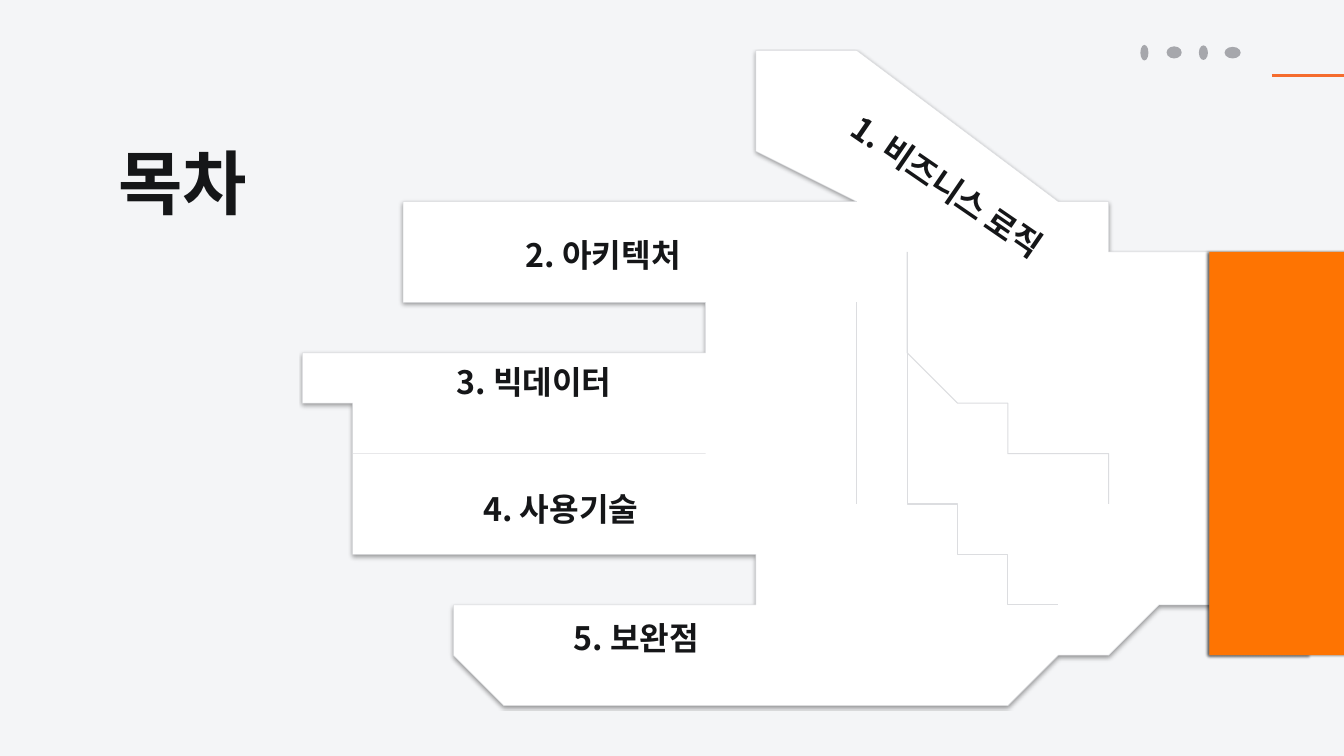
"""Build the table-of-contents slide with one chapter on each finger of a hand."""
import math

import lxml.etree
import pptx
import pptx.dml.color
import pptx.enum.shapes
import pptx.enum.text
import pptx.oxml.ns
import pptx.util

Inches = pptx.util.Inches
Pt = pptx.util.Pt
qn = pptx.oxml.ns.qn

FONT = "Noto Sans CJK KR"
COLORS = {
    "background": "F4F5F7", "ink": "151618", "icon": "A6A7AC", "accent": "F56C2E",
    "skin": "FFFFFF", "crease": "DCDDE0", "cuff": "DBDCDE", "sleeve": "FE7402",
    "shadow": "000000",
}
SLIDE_WIDTH, SLIDE_HEIGHT = 26.67, 15

TITLE = ("목차", (2.31, 3.05, 9.95, 3.47))
CHAPTERS = [
    ("2. 아키텍처", (10.33, 4.61, 6.32, 0.87), 0),
    ("3. 빅데이터", (8.96, 7.13, 5.75, 0.88), 0),
    ("4. 사용기술", (9.49, 9.65, 6.7, 0.87), 0),
    ("5. 보완점", (11.28, 12.21, 5.27, 0.87), 0),
    ("1. 비즈니스 로직", (16.35, 3.75, 6.32, 0.88), 34.5),
]

FINGER_TIPS = [7.76, 6.42, 7.09, 9.1]
WEB_STARTS = [13.79, 13.79, 14.47]
FINGER_TOP, FINGER_PITCH, FINGER_HEIGHT = 4.07, 2.55, 1.91
TIP_DEPTH, WEB_DEPTH = 1.01, 0.33

THUMB_AND_WRIST = [
    [(15.28, 2.78)],
    [(14.85, 2.5), (14.64, 2.1), (14.64, 1.67)],
    [(14.64, 1.05), (15.15, 0.58), (15.88, 0.58)],
    [(16.13, 0.58), (16.38, 0.66), (16.59, 0.79)],
    [(21.32, 3.76)],
    [(21.95, 4.15), (22.35, 4.55), (22.71, 4.99)],
    [(22.87, 5.01)],
    [(24.37, 5.18), (25.33, 4.79), (26.67, 4.79)],
    [(26.67, 12.46)],
    [(25.44, 12.46), (24.29, 11.97), (23.04, 12.09)],
    [(22.77, 12.13)],
    [(22.71, 12.2)],
    [(21.75, 13.25), (20.35, 13.63), (19.16, 13.63)],
]
CREASES = [
    ((17.9, 5.05), [[(17.94, 5.98), (18.02, 7.04), (18.76, 7.81)],
                    [(19.5, 8.58), (20.38, 8.99), (22.35, 9.68)]], 1.5),
    ((17.88, 5.05), [[(17.87, 6.68), (17.87, 8.18), (18.33, 9.3)],
                     [(18.78, 10.42), (19.64, 11.36), (20.61, 11.74)]], 1.5),
    ((16.89, 6.27), [[(17.06, 6.69), (17.23, 7.12), (17.27, 7.82)],
                     [(17.31, 8.52), (17.11, 10.46), (17.11, 10.46)]], 1),
]
BANDS = [
    ("cuff", (23.79, 4.88, 26.24, 12.51), 0.7, 135),
    ("sleeve", (24.22, 4.62, 26.67, 12.77), 0.74, 180),
]
ICONS = [(22.63, 0.89, 0.16, 0.31), (23.15, 0.92, 0.3, 0.24),
         (23.79, 0.9, 0.18, 0.29), (24.3, 0.93, 0.32, 0.23)]


def color(name):
    return pptx.dml.color.RGBColor.from_string(COLORS[name])


def trace(start, segments, steps=16):
    points = [start]
    for segment in segments:
        if len(segment) == 1:
            points += segment
            continue
        controls = [points[-1], *segment]
        for step in range(1, steps + 1):
            t = step / steps
            weights = [math.comb(3, i) * t**i * (1 - t)**(3 - i) for i in range(4)]
            points.append(tuple(sum(w * p[axis] for w, p in zip(weights, controls))
                                for axis in (0, 1)))
    return points


def half_round(x, low, high, depth, steps=24):
    middle, radius = (low + high) / 2, (low - high) / 2
    angles = [math.pi * step / steps for step in range(steps + 1)]
    return [(x + depth * math.sin(a), middle + radius * math.cos(a)) for a in angles]


def hand_outline():
    points = trace((17.15, FINGER_TOP), THUMB_AND_WRIST)
    for i in reversed(range(len(FINGER_TIPS))):
        top = FINGER_TOP + i * FINGER_PITCH
        points += half_round(FINGER_TIPS[i] + TIP_DEPTH, top + FINGER_HEIGHT, top, -TIP_DEPTH)
        if i:
            above = top - FINGER_PITCH + FINGER_HEIGHT
            points += half_round(WEB_STARTS[i - 1], top, above, WEB_DEPTH)
    return points


def band_outline(left, top, right, bottom, corner):
    inner = left + 0.13
    return trace((inner, top), [
        [(right, top)], [(right, bottom)], [(inner, bottom)],
        [(left + 0.06, bottom), (left, bottom - corner * 0.45), (left, bottom - corner)],
        [(left, top + corner)],
        [(left, top + corner * 0.45), (left + 0.06, top), (inner, top)],
    ])


def draw(shapes, points, fill=None, line=None, width=0, closed=True):
    builder = shapes.build_freeform(*points[0], scale=Inches(1))
    builder.add_line_segments(points[1:], close=closed)
    outline = builder.convert_to_shape()
    return paint(outline, fill, line, width)


def paint(shape, fill=None, line=None, width=0):
    shape.shadow.inherit = False
    if fill:
        shape.fill.solid()
        shape.fill.fore_color.rgb = color(fill)
    else:
        shape.fill.background()
    if line:
        shape.line.color.rgb = color(line)
        shape.line.width = Pt(width)
    else:
        shape.line.fill.background()
    return shape


def cast_shadow(shape, angle):
    effects = shape._element.spPr.find(qn("a:effectLst"))
    shadow = lxml.etree.SubElement(
        effects, qn("a:outerShdw"), blurRad=str(Pt(4)), dist=str(Pt(3)),
        dir=str(angle * 60000), algn="ctr", rotWithShape="0")
    tint = lxml.etree.SubElement(shadow, qn("a:srgbClr"), val=COLORS["shadow"])
    lxml.etree.SubElement(tint, qn("a:alpha"), val="40000")


def write(shapes, wording, place, size):
    box = shapes.add_textbox(*map(Inches, place))
    box.text_frame.word_wrap = True
    paragraph = box.text_frame.paragraphs[0]
    paragraph.text = wording
    font = paragraph.font
    font.size, font.bold, font.name = Pt(size), True, FONT
    font.color.rgb = color("ink")
    lxml.etree.SubElement(font._element, qn("a:ea"), typeface=FONT)
    return box


def main():
    deck = pptx.Presentation()
    deck.slide_width, deck.slide_height = Inches(SLIDE_WIDTH), Inches(SLIDE_HEIGHT)
    slide = deck.slides.add_slide(deck.slide_layouts[6])
    slide.background.fill.solid()
    slide.background.fill.fore_color.rgb = color("background")
    shapes = slide.shapes

    for place in ICONS:
        paint(shapes.add_shape(pptx.enum.shapes.MSO_SHAPE.OVAL, *map(Inches, place)), "icon")
    rule = shapes.add_connector(pptx.enum.shapes.MSO_CONNECTOR.STRAIGHT,
                                *map(Inches, (25.24, 1.5, SLIDE_WIDTH, 1.5)))
    rule.line.color.rgb, rule.line.width = color("accent"), Pt(4)
    lxml.etree.SubElement(rule._element.spPr, qn("a:effectLst"))

    cast_shadow(draw(shapes, hand_outline(), "skin", "crease"), 90)
    for name, edges, corner, angle in BANDS:
        cast_shadow(draw(shapes, band_outline(*edges, corner), name), angle)
    palm = shapes.add_group_shape()
    for start, curves, width in CREASES:
        draw(palm.shapes, trace(start, curves), None, "crease", width, closed=False)

    title = write(shapes, *TITLE, 100)
    frame = title.text_frame
    frame.margin_left = frame.margin_right = frame.margin_top = frame.margin_bottom = Inches(0.04)
    frame.paragraphs[0].line_spacing = 0.8
    for wording, place, angle in CHAPTERS:
        chapter = write(shapes, wording, place, 46)
        chapter.rotation = angle
        chapter.text_frame.auto_size = pptx.enum.text.MSO_AUTO_SIZE.SHAPE_TO_FIT_TEXT
        chapter.text_frame.paragraphs[0].alignment = pptx.enum.text.PP_ALIGN.JUSTIFY

    deck.save("out.pptx")


if __name__ == "__main__":
    main()
